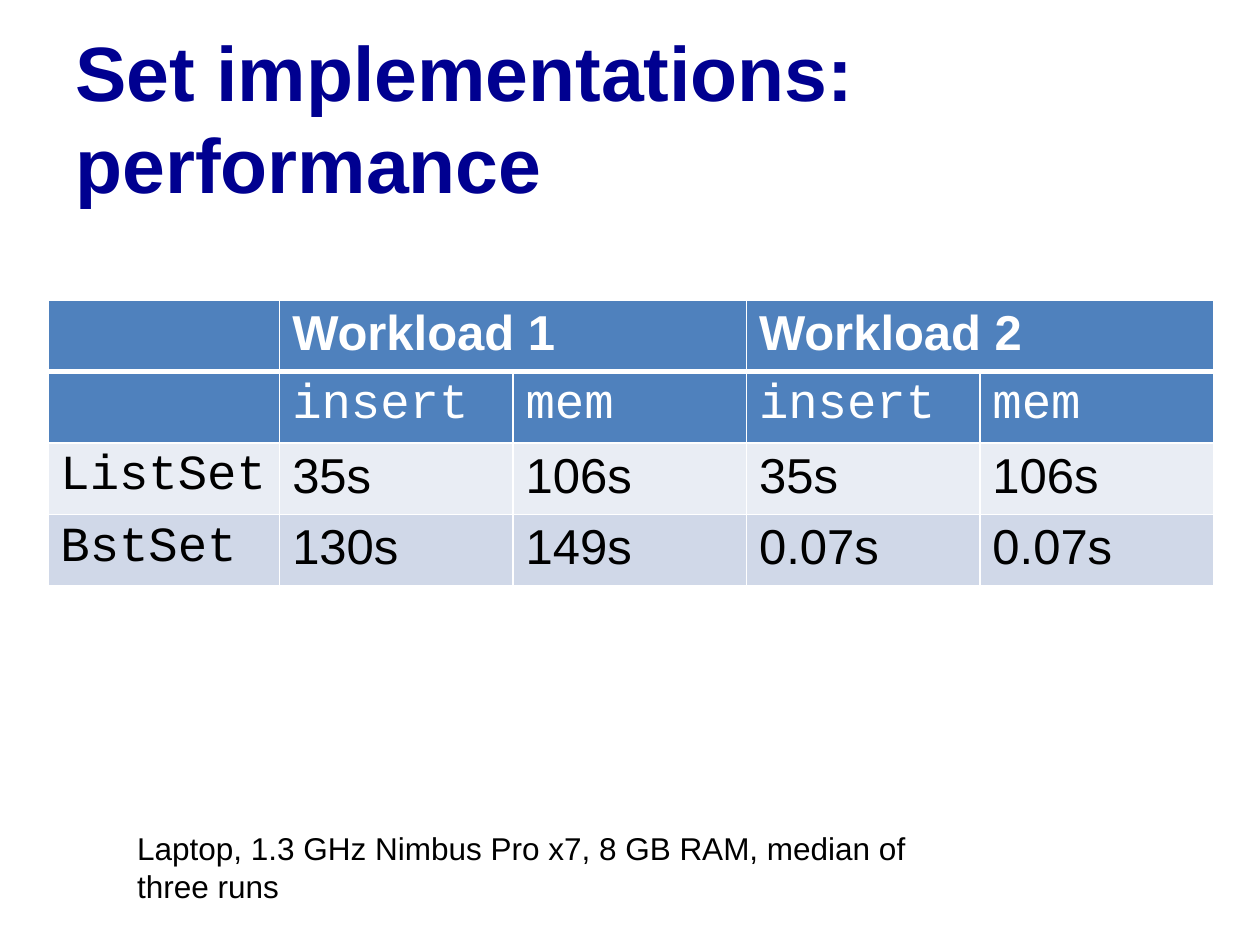
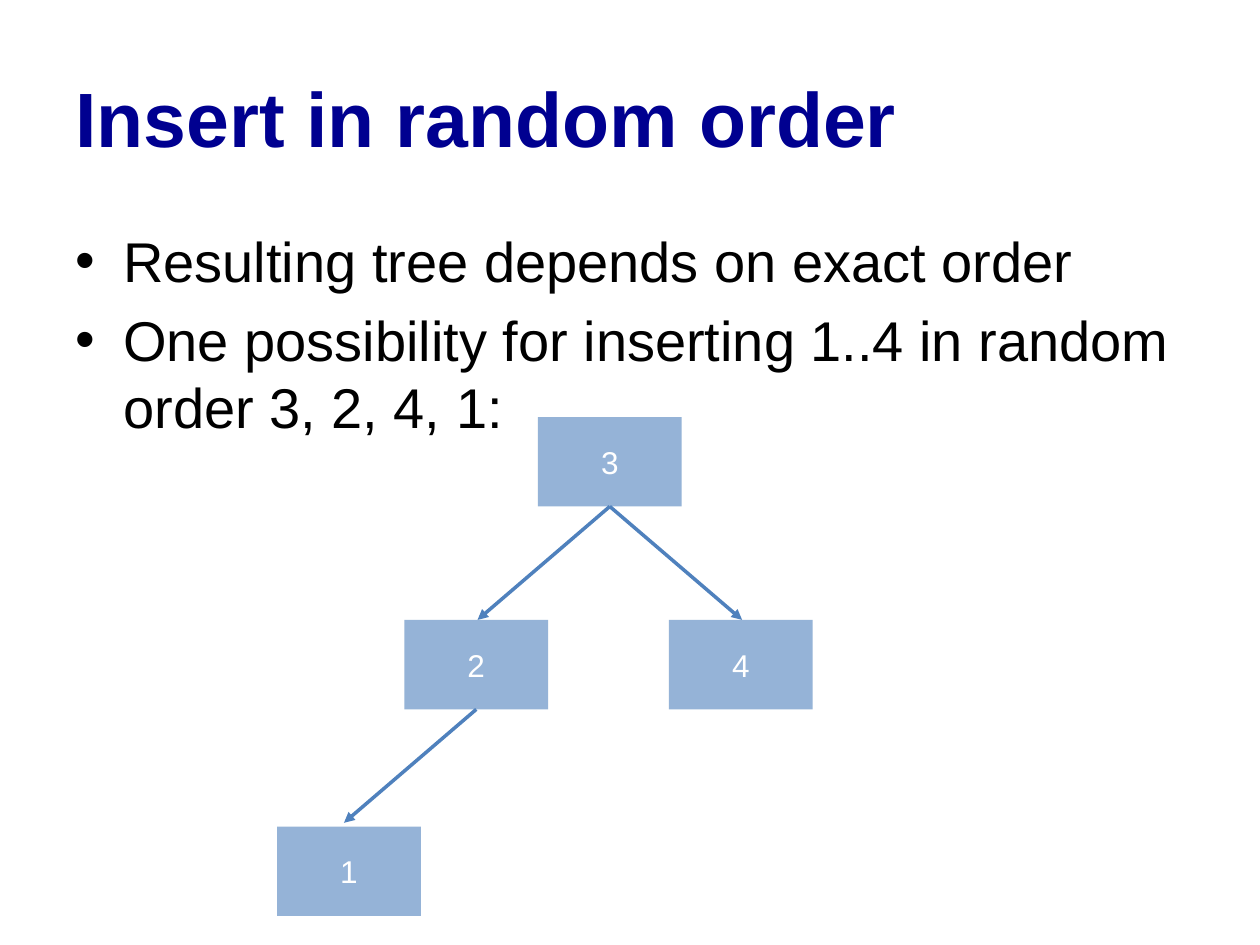
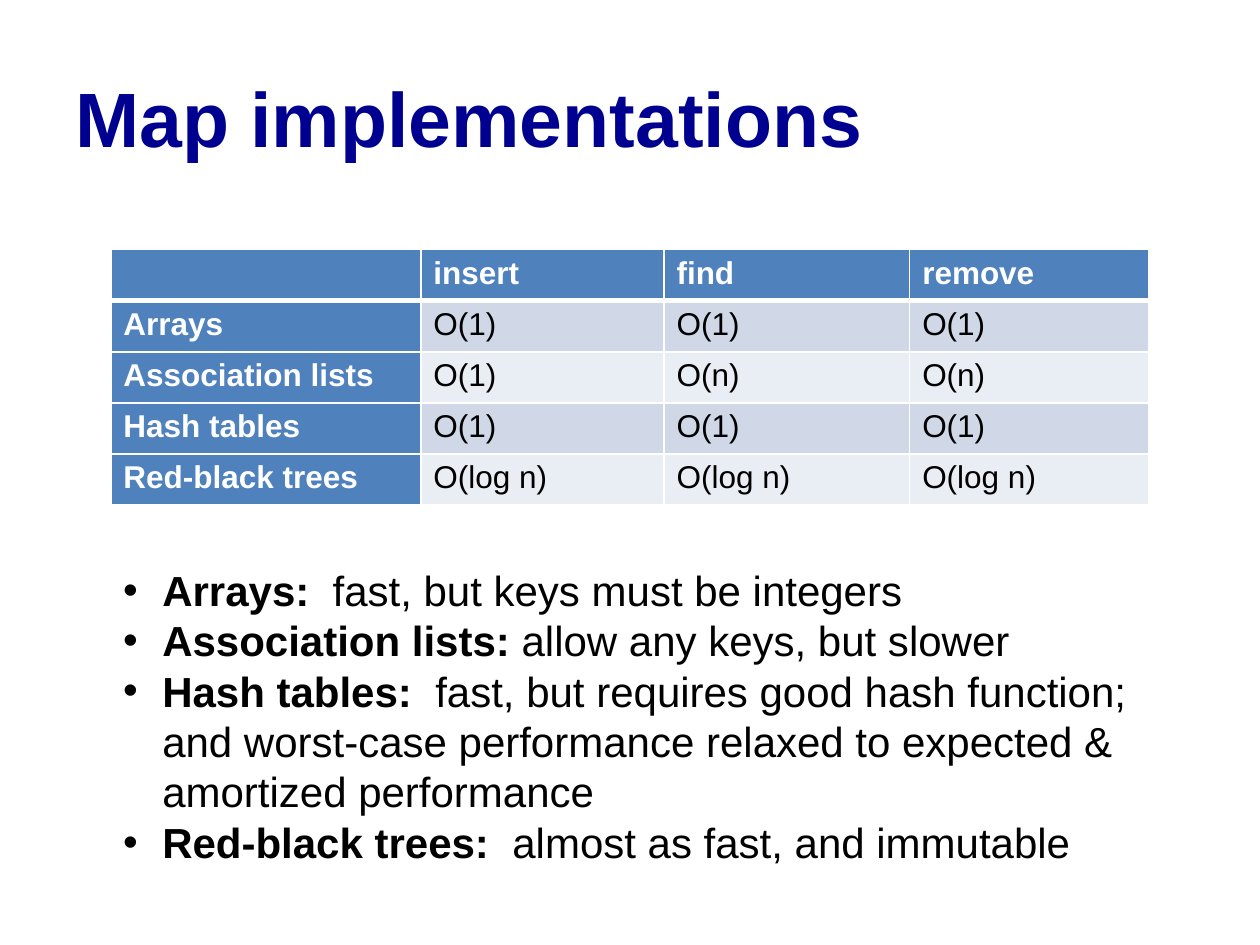
"""Build three slides on the performance of set and map implementations."""
from lxml.etree import SubElement
from pptx import Presentation
from pptx.dml.color import RGBColor
from pptx.enum.shapes import MSO_CONNECTOR as Connector, MSO_SHAPE as Preset
from pptx.enum.text import MSO_ANCHOR as Anchor, PP_ALIGN as Align
from pptx.oxml.ns import qn
from pptx.util import Inches, Pt


class Theme:
    font, code_font = "Arial", "Courier New"
    title, text, white = "000090", "000000", "FFFFFF"
    header, band_dark, band_light, node = "4F81BD", "D0D8E8", "E9EDF4", "95B3D7"
    title_size, body_size, large_size, list_size, small_size = 44, 32, 28, 24, 18


def add_run(paragraph, text, size, color=Theme.text, bold=False, font=Theme.font):
    run = paragraph.add_run()
    run.text = text
    run.font.size, run.font.bold, run.font.name = Pt(size), bold, font
    run.font.color.rgb = RGBColor.from_string(color)


def add_text(slide, box, paragraphs, size, color=Theme.text, indent=0, before=0):
    frame = slide.shapes.add_textbox(*map(Inches, box)).text_frame
    frame.word_wrap = True
    for index, runs in enumerate(paragraphs):
        paragraph = frame.paragraphs[0] if index == 0 else frame.add_paragraph()
        paragraph.space_before = Pt(before)
        if indent:
            properties = paragraph._p.get_or_add_pPr()
            properties.set("marL", str(Inches(indent)))
            properties.set("indent", str(Inches(-indent)))
            SubElement(properties, qn("a:buFont"), typeface=Theme.font)
            SubElement(properties, qn("a:buChar"), char="•")
        for text, bold in runs:
            add_run(paragraph, text, size, color, bold)
    return frame


presentation = Presentation()
presentation.slide_width, presentation.slide_height = Inches(10), Inches(7.5)
blank = presentation.slide_layouts[6]

slides = []
for title in ("Set implementations: performance", "Insert in random order", "Map implementations"):
    slide = presentation.slides.add_slide(blank)
    frame = add_text(slide, (0.5, 0.3, 9, 1.25), [[(title, True)]], Theme.title_size, Theme.title)
    frame.vertical_anchor = Anchor.MIDDLE
    slides.append(slide)
set_slide, tree_slide, map_slide = slides

set_rows = [
    ("", "Workload 1", "", "Workload 2", ""),
    ("", "insert", "mem", "insert", "mem"),
    ("ListSet", "35s", "106s", "35s", "106s"),
    ("BstSet", "130s", "149s", "0.07s", "0.07s"),
]
map_rows = [
    ("", "insert", "find", "remove"),
    ("Arrays", "O(1)", "O(1)", "O(1)"),
    ("Association lists", "O(1)", "O(n)", "O(n)"),
    ("Hash tables", "O(1)", "O(1)", "O(1)"),
    ("Red-black trees", "O(log n)", "O(log n)", "O(log n)"),
]
set_widths = [1.84] + [(9.25 - 1.84) / 4] * 4
map_widths = [2.46, 1.93, 1.95, 1.9]

for slide, rows, widths, left, top, height, size, header_rows, header_columns, has_code in (
    (set_slide, set_rows, set_widths, 0.38, 2.38, 1.64, Theme.large_size, 2, 0, True),
    (map_slide, map_rows, map_widths, 0.88, 1.98, 2.03, Theme.small_size, 1, 1, False),
):
    table = slide.shapes.add_table(
        len(rows), len(widths), Inches(left), Inches(top),
        Inches(sum(widths)), Inches(height)).table
    table.first_row = table.horz_banding = False
    for column, width in zip(table.columns, widths):
        column.width = Inches(width)
    for row, texts in enumerate(rows):
        for column, text in enumerate(texts):
            cell = table.cell(row, column)
            is_header = row < header_rows or column < header_columns
            is_code = has_code and row > 0 and (row == 1 or column == 0)
            properties = cell._tc.get_or_add_tcPr()
            for side in "LRTB":
                thick = (side, row) in (("B", 0), ("T", 1))
                border = SubElement(properties, qn(f"a:ln{side}"), w=str(Pt(3 if thick else 1)))
                fill = SubElement(border, qn("a:solidFill"))
                SubElement(fill, qn("a:srgbClr"), val=Theme.white)
            band = Theme.band_dark if row % 2 else Theme.band_light
            cell.fill.solid()
            cell.fill.fore_color.rgb = RGBColor.from_string(Theme.header if is_header else band)
            if text:
                add_run(cell.text_frame.paragraphs[0], text, size,
                        Theme.white if is_header else Theme.text,
                        is_header and not is_code,
                        Theme.code_font if is_code else Theme.font)
    if has_code:
        for column in (1, 3):
            table.cell(0, column).merge(table.cell(0, column + 1))

machine = "Laptop, 1.3 GHz Nimbus Pro x7, 8 GB RAM, median of three runs"
add_text(set_slide, (0.99, 6.53, 6.61, 0.4), [[(machine, False)]], Theme.small_size)

add_text(tree_slide, (0.5, 1.75, 9, 4.95), [
    [("Resulting tree depends on exact order", False)],
    [("One possibility for inserting 1..4 in random order 3, 2, 4, 1:", False)],
], Theme.body_size, indent=0.38, before=6.4)

node_width, node_height = 1.14, 0.71
branch_width, branch_height = 1.05, 0.9
nodes = {"3": (4.27, 3.31), "4": (5.31, 4.92), "2": (3.21, 4.92), "1": (2.2, 6.56)}
for label, (left, top) in nodes.items():
    shape = tree_slide.shapes.add_shape(
        Preset.RECTANGLE, Inches(left), Inches(top), Inches(node_width), Inches(node_height))
    shape.shadow.inherit = False
    shape.fill.solid()
    shape.fill.fore_color.rgb = RGBColor.from_string(Theme.node)
    shape.line.fill.background()
    shape.text_frame.vertical_anchor = Anchor.MIDDLE
    paragraph = shape.text_frame.paragraphs[0]
    paragraph.alignment = Align.CENTER
    add_run(paragraph, label, Theme.small_size, Theme.white)

for parent, direction in (("3", 1), ("3", -1), ("2", -1)):
    left, top = nodes[parent]
    start_x, start_y = left + node_width / 2, top + node_height
    arrow = tree_slide.shapes.add_connector(
        Connector.STRAIGHT, Inches(start_x), Inches(start_y),
        Inches(start_x + direction * branch_width), Inches(start_y + branch_height))
    arrow.line.width = Pt(2)
    arrow.line.color.rgb = RGBColor.from_string(Theme.header)
    SubElement(arrow.line._get_or_add_ln(), qn("a:tailEnd"), type="triangle")
    SubElement(arrow._element.spPr, qn("a:effectLst"))

add_text(map_slide, (0.88, 4.43, 8.24, 2.52), [
    [("Arrays:  ", True), ("fast, but keys must be integers", False)],
    [("Association lists: ", True), ("allow any keys, but slower", False)],
    [("Hash tables:  ", True),
     ("fast, but requires good hash function; and worst-case performance "
      "relaxed to expected & amortized performance", False)],
    [("Red-black trees:  ", True), ("almost as fast, and immutable", False)],
], Theme.list_size, indent=0.31)

presentation.save("out.pptx")
